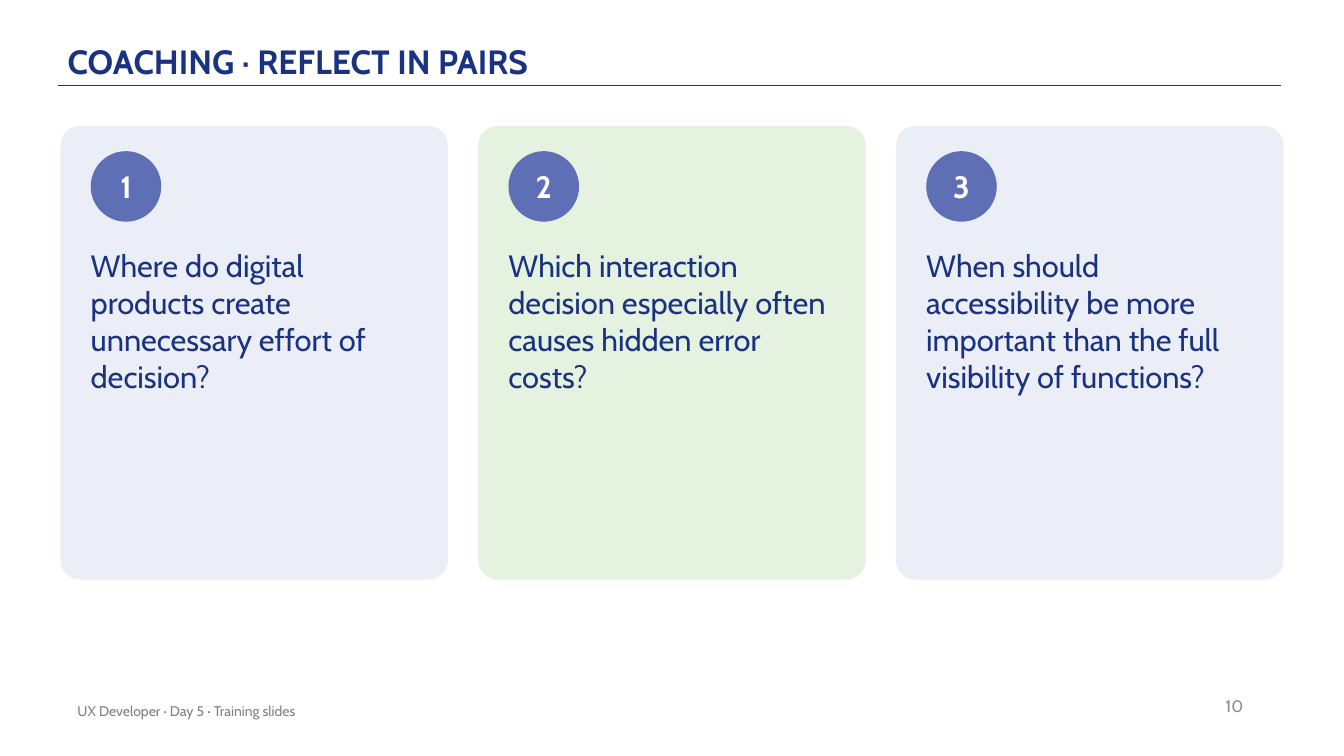
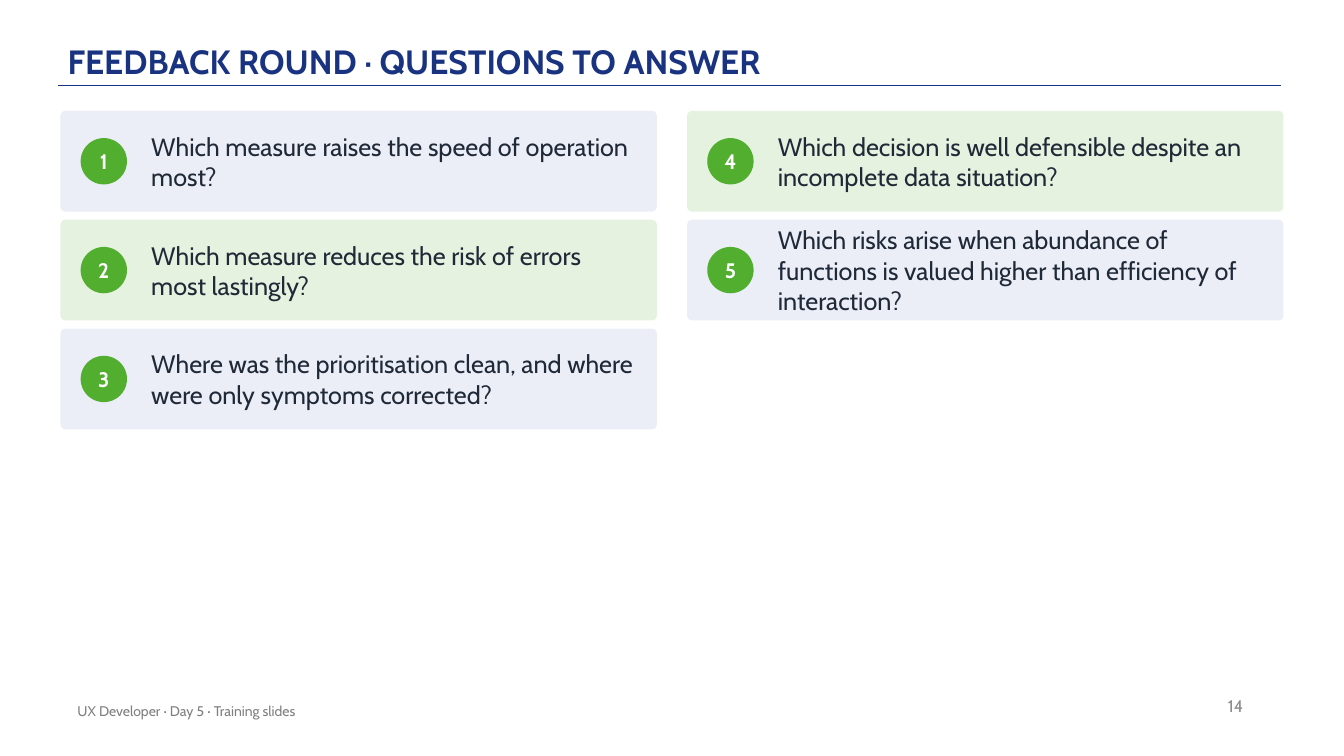
from dataclasses import dataclass

import lxml.etree
import pptx
import pptx.dml.color
import pptx.enum.shapes
import pptx.enum.text
import pptx.oxml.ns
import pptx.slide
import pptx.util

Inches = pptx.util.Inches
Align = pptx.enum.text.PP_ALIGN
Anchor = pptx.enum.text.MSO_ANCHOR
ShapeType = pptx.enum.shapes.MSO_SHAPE


@dataclass(frozen=True)
class Theme:
    font: str = "Cabin"
    navy: str = "1A3381"
    ink: str = "1F2937"
    white: str = "FFFFFF"
    indigo: str = "5F6FB5"
    green: str = "51AE2F"
    card_fills: tuple[str, str] = ("ECEEF7", "E5F2DF")
    footer_grey: str = "808080"
    number_grey: str = "8C8C8C"
    title_size: int = 24
    reflection_size: int = 22
    question_size: int = 18
    badge_size: int = 15
    number_size: int = 12
    footer_size: int = 10


@dataclass(frozen=True)
class Box:
    left: float
    top: float
    width: float
    height: float

    def lengths(self) -> tuple[int, ...]:
        return tuple(Inches(v) for v in (self.left, self.top, self.width, self.height))


@dataclass(frozen=True)
class TextStyle:
    size: int
    color: str
    bold: bool = False
    align: Align = Align.LEFT
    anchor: Anchor = Anchor.MIDDLE
    inset_x: float = 0
    inset_y: float = 0
    line_spacing: float = 1.0
    space_after: int = 0


THEME = Theme()
FOOTER = "UX Developer · Day 5 · Training slides"
CONTENT_LEFT, CONTENT_WIDTH, COLUMN_GAP = 0.6, 12.13, 0.3

TITLE_STYLE = TextStyle(THEME.title_size, THEME.navy, bold=True, anchor=Anchor.BOTTOM,
                        inset_y=0.03, line_spacing=0.9)
FOOTER_STYLE = TextStyle(THEME.footer_size, THEME.footer_grey, inset_x=0.1, inset_y=0.05)
NUMBER_STYLE = TextStyle(THEME.number_size, THEME.number_grey, align=Align.RIGHT,
                         inset_x=0.1, inset_y=0.05)
REFLECTION_STYLE = TextStyle(THEME.reflection_size, THEME.navy, anchor=Anchor.TOP, space_after=6)
QUESTION_STYLE = TextStyle(THEME.question_size, THEME.ink)


@dataclass(frozen=True)
class CardLayout:
    """Card grid, filled column by column; badge and text are offset from the card."""
    columns: int
    rows: int
    top: float
    height: float
    row_gap: float
    badge_x: float
    badge_y: float
    badge_diameter: float
    badge_fill: str
    badge_size: int
    text_x: float
    text_y: float
    text_height: float
    text_right: float
    text_style: TextStyle


REFLECTION_CARDS = CardLayout(
    columns=3, rows=1, top=1.25, height=4.5, row_gap=0,
    badge_x=0.3, badge_y=0.25, badge_diameter=0.7,
    badge_fill=THEME.indigo, badge_size=THEME.reflection_size,
    text_x=0.3, text_y=1.2, text_height=3.1, text_right=0.3, text_style=REFLECTION_STYLE)
QUESTION_CARDS = CardLayout(
    columns=2, rows=3, top=1.1, height=1, row_gap=0.08,
    badge_x=0.2, badge_y=0.27, badge_diameter=0.46,
    badge_fill=THEME.green, badge_size=THEME.badge_size,
    text_x=0.9, text_y=0, text_height=1, text_right=0.2, text_style=QUESTION_STYLE)


@dataclass(frozen=True)
class SlideContent:
    title: str
    number: int
    layout: CardLayout
    questions: tuple[str, ...]


SLIDES = (
    SlideContent("COACHING · REFLECT IN PAIRS", 10, REFLECTION_CARDS, (
        "Where do digital products create unnecessary effort of decision?",
        "Which interaction decision especially often causes hidden error costs?",
        "When should accessibility be more important than the full visibility of functions?",
    )),
    SlideContent("FEEDBACK ROUND · QUESTIONS TO ANSWER", 14, QUESTION_CARDS, (
        "Which measure raises the speed of operation most?",
        "Which measure reduces the risk of errors most lastingly?",
        "Where was the prioritisation clean, and where were only symptoms corrected?",
        "Which decision is well defensible despite an incomplete data situation?",
        "Which risks arise when abundance of functions is valued higher than "
        "efficiency of interaction?",
    )),
)


def rgb(color: str) -> pptx.dml.color.RGBColor:
    return pptx.dml.color.RGBColor.from_string(color)


# Basic parts
def write_text(shape, text: str, style: TextStyle) -> None:
    frame = shape.text_frame
    frame.word_wrap = True
    frame.vertical_anchor = style.anchor
    frame.margin_left = frame.margin_right = Inches(style.inset_x)
    frame.margin_top = frame.margin_bottom = Inches(style.inset_y)
    paragraph = frame.paragraphs[0]
    paragraph.alignment = style.align
    paragraph.line_spacing = style.line_spacing
    paragraph.space_after = pptx.util.Pt(style.space_after)
    run = paragraph.add_run()
    run.text = text
    run.font.name = THEME.font
    run.font.size = pptx.util.Pt(style.size)
    run.font.bold = style.bold
    run.font.color.rgb = rgb(style.color)


def add_text(slide: pptx.slide.Slide, box: Box, text: str, style: TextStyle) -> None:
    write_text(slide.shapes.add_textbox(*box.lengths()), text, style)


def add_filled_shape(slide: pptx.slide.Slide, shape_type: ShapeType, box: Box, fill: str):
    shape = slide.shapes.add_shape(shape_type, *box.lengths())
    shape.shadow.inherit = False
    shape.fill.solid()
    shape.fill.fore_color.rgb = rgb(fill)
    shape.line.fill.background()
    return shape


# Title, rule and footer shared by all slides
def add_frame(slide: pptx.slide.Slide, content: SlideContent) -> None:
    rule = slide.shapes.add_connector(
        pptx.enum.shapes.MSO_CONNECTOR.STRAIGHT,
        Inches(0.58), Inches(0.85), Inches(12.71), Inches(0.85))
    rule.line.color.rgb = rgb(THEME.navy)
    rule.line.width = pptx.util.Pt(1)
    lxml.etree.SubElement(rule._element.spPr, pptx.oxml.ns.qn("a:effectLst"))

    add_text(slide, Box(0.67, 0.12, 11, 0.72), content.title, TITLE_STYLE)
    add_text(slide, Box(9.43, 6.8, 3, 0.4), str(content.number), NUMBER_STYLE)
    add_text(slide, Box(0.67, 6.85, 6.7, 0.4), FOOTER, FOOTER_STYLE)


# Numbered question cards
def add_card(slide: pptx.slide.Slide, layout: CardLayout, index: int, question: str) -> None:
    column, row = divmod(index, layout.rows)
    width = (CONTENT_WIDTH - (layout.columns - 1) * COLUMN_GAP) / layout.columns
    left = CONTENT_LEFT + column * (width + COLUMN_GAP)
    top = layout.top + row * (layout.height + layout.row_gap)

    fill = THEME.card_fills[index % len(THEME.card_fills)]
    card = add_filled_shape(slide, ShapeType.ROUNDED_RECTANGLE,
                            Box(left, top, width, layout.height), fill)
    card.adjustments[0] = 0.05

    badge = add_filled_shape(
        slide, ShapeType.OVAL,
        Box(left + layout.badge_x, top + layout.badge_y,
            layout.badge_diameter, layout.badge_diameter),
        layout.badge_fill)
    write_text(badge, str(index + 1),
               TextStyle(layout.badge_size, THEME.white, bold=True, align=Align.CENTER))

    text_box = Box(left + layout.text_x, top + layout.text_y,
                   width - layout.text_x - layout.text_right, layout.text_height)
    add_text(slide, text_box, question, layout.text_style)


def main() -> None:
    presentation = pptx.Presentation()
    presentation.slide_width = Inches(13.33)
    presentation.slide_height = Inches(7.5)
    blank_layout = presentation.slide_layouts[6]
    for content in SLIDES:
        slide = presentation.slides.add_slide(blank_layout)
        add_frame(slide, content)
        for index, question in enumerate(content.questions):
            add_card(slide, content.layout, index, question)
    presentation.save("out.pptx")


if __name__ == "__main__":
    main()
